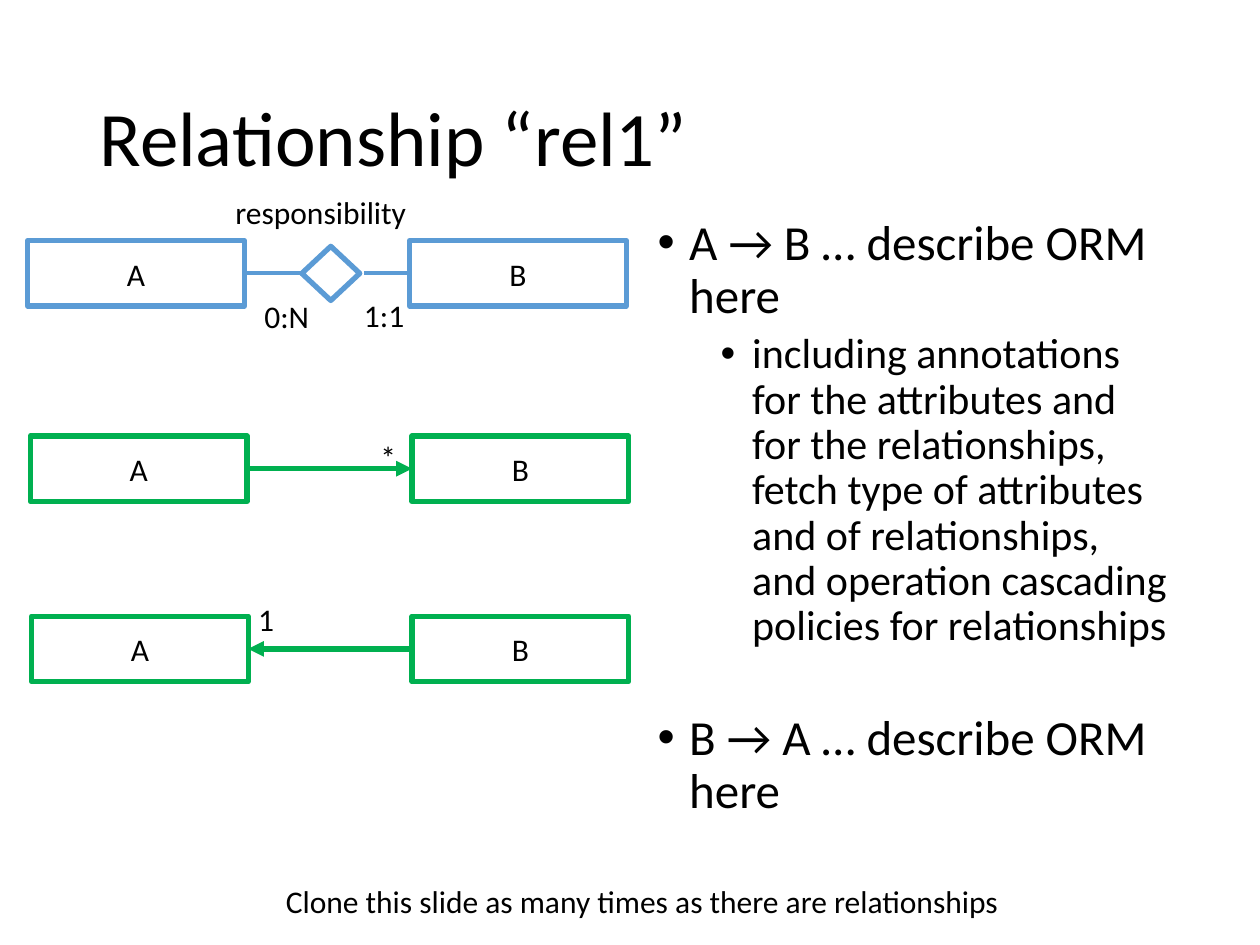
"""Build the relationship mapping slide with its entity diagrams and ORM notes."""
from lxml import etree
from pptx import Presentation
from pptx.dml.color import RGBColor
from pptx.enum.shapes import MSO_CONNECTOR, MSO_SHAPE
from pptx.enum.text import MSO_ANCHOR, MSO_AUTO_SIZE, PP_ALIGN
from pptx.oxml.ns import qn
from pptx.util import Inches, Pt

RECTANGLE, DIAMOND = MSO_SHAPE.RECTANGLE, MSO_SHAPE.DIAMOND
STRAIGHT = MSO_CONNECTOR.STRAIGHT
MIDDLE, TOP = MSO_ANCHOR.MIDDLE, MSO_ANCHOR.TOP
LEFT, CENTER = PP_ALIGN.LEFT, PP_ALIGN.CENTER
NO_FIT, GROW = MSO_AUTO_SIZE.NONE, MSO_AUTO_SIZE.SHAPE_TO_FIT_TEXT

COLORS = {"text": "000000", "paper": "FFFFFF", "model": "5B9BD5", "mapping": "00B050"}
BOX_WIDTH, BOX_HEIGHT = 1.72, 0.52


def add_text(paragraph, text, size):
    run = paragraph.add_run()
    run.text = text
    run.font.size = Pt(size)
    run.font.name = "Calibri"
    run.font.color.rgb = RGBColor.from_string(COLORS["text"])


def add_outline(preset, left, top, width, height, color, filled):
    shape = slide.shapes.add_shape(
        preset, Inches(left), Inches(top), Inches(width), Inches(height))
    shape.shadow.inherit = False
    if filled:
        shape.fill.solid()
        shape.fill.fore_color.rgb = RGBColor.from_string(COLORS["paper"])
    else:
        shape.fill.background()
    shape.line.color.rgb = RGBColor.from_string(COLORS[color])
    shape.line.width = Pt(3)
    return shape


presentation = Presentation()
presentation.slide_width, presentation.slide_height = Inches(10), Inches(7.5)
slide = presentation.slides.add_slide(presentation.slide_layouts[1])

title, body = slide.placeholders
for placeholder, place, anchor in (
        (title, (0.69, 0.4, 8.62, 1.45), MIDDLE),
        (body, (5.12, 1.68, 4.25, 4.76), TOP)):
    placeholder.left, placeholder.top, placeholder.width, placeholder.height = map(Inches, place)
    placeholder.text_frame.vertical_anchor = anchor
    placeholder.text_frame.auto_size = NO_FIT
    placeholder.text_frame.word_wrap = True

heading = title.text_frame.paragraphs[0]
heading.alignment = LEFT
heading.line_spacing = 0.9
add_text(heading, "Relationship “rel1”", 44)

notes = (
    (0, "A → B … describe ORM here", 28, 10),
    (1, "including annotations for the attributes and for the relationships, "
        "fetch type of attributes and of relationships, "
        "and operation cascading policies for relationships", 24, 5),
    (0, "B → A … describe ORM here", 28, 36),
)
for index, (level, text, size, space_before) in enumerate(notes):
    paragraph = body.text_frame.add_paragraph() if index else body.text_frame.paragraphs[0]
    paragraph.level = level
    paragraph.line_spacing = 0.9
    paragraph.space_before = Pt(space_before)
    properties = paragraph._p.get_or_add_pPr()
    properties.set("marL", str(Inches(0.25 + 0.5 * level)))
    properties.set("indent", str(Inches(-0.25)))
    etree.SubElement(properties, qn("a:buFont")).set("typeface", "Arial")
    etree.SubElement(properties, qn("a:buChar")).set("char", "•")
    add_text(paragraph, text, size)

entity_rows = (
    (0.22, 3.25, 1.91, "model", True),
    (0.24, 3.27, 3.46, "mapping", False),
    (0.25, 3.27, 4.89, "mapping", False),
)
for left_a, left_b, top, color, filled in entity_rows:
    for name, left in (("A", left_a), ("B", left_b)):
        entity = add_outline(RECTANGLE, left, top, BOX_WIDTH, BOX_HEIGHT, color, filled)
        entity.text_frame.vertical_anchor = MIDDLE
        paragraph = entity.text_frame.paragraphs[0]
        paragraph.alignment = CENTER
        add_text(paragraph, name, 18)

diamond = add_outline(DIAMOND, 2.41, 1.94, 0.43, 0.46, "model", True)
diamond.rotation = 90

links = (
    (3.25, 2.89, 2.17, "model", 2.25, None),
    (2.4, 1.94, 2.17, "model", 2.25, None),
    (3.27, 1.96, 3.72, "mapping", 3, "a:headEnd"),
    (3.27, 1.97, 5.15, "mapping", 3, "a:tailEnd"),
)
for start, end, y, color, width, arrow in links:
    link = slide.shapes.add_connector(
        STRAIGHT, Inches(start), Inches(y), Inches(end), Inches(y))
    link.line.color.rgb = RGBColor.from_string(COLORS[color])
    link.line.width = Pt(width)
    if arrow:
        etree.SubElement(link.line._get_or_add_ln(), qn(arrow)).set("type", "triangle")
    etree.SubElement(link._element.spPr, qn("a:effectLst"))

labels = (
    ("1:1", 2.79, 2.3, 0.53, False),
    ("0:N", 2, 2.31, 0.56, False),
    ("responsibility", 1.77, 1.48, 1.57, False),
    ("*", 2.92, 3.43, 0.33, False),
    ("1", 1.95, 4.71, 0.33, False),
    ("Clone this slide as many times as there are relationships", 2.17, 6.95, 6.63, True),
)
for text, left, top, width, wrap in labels:
    label = slide.shapes.add_textbox(Inches(left), Inches(top), Inches(width), Inches(0.4))
    label.text_frame.word_wrap = wrap
    label.text_frame.auto_size = GROW
    add_text(label.text_frame.paragraphs[0], text, 18)

presentation.save("out.pptx")
